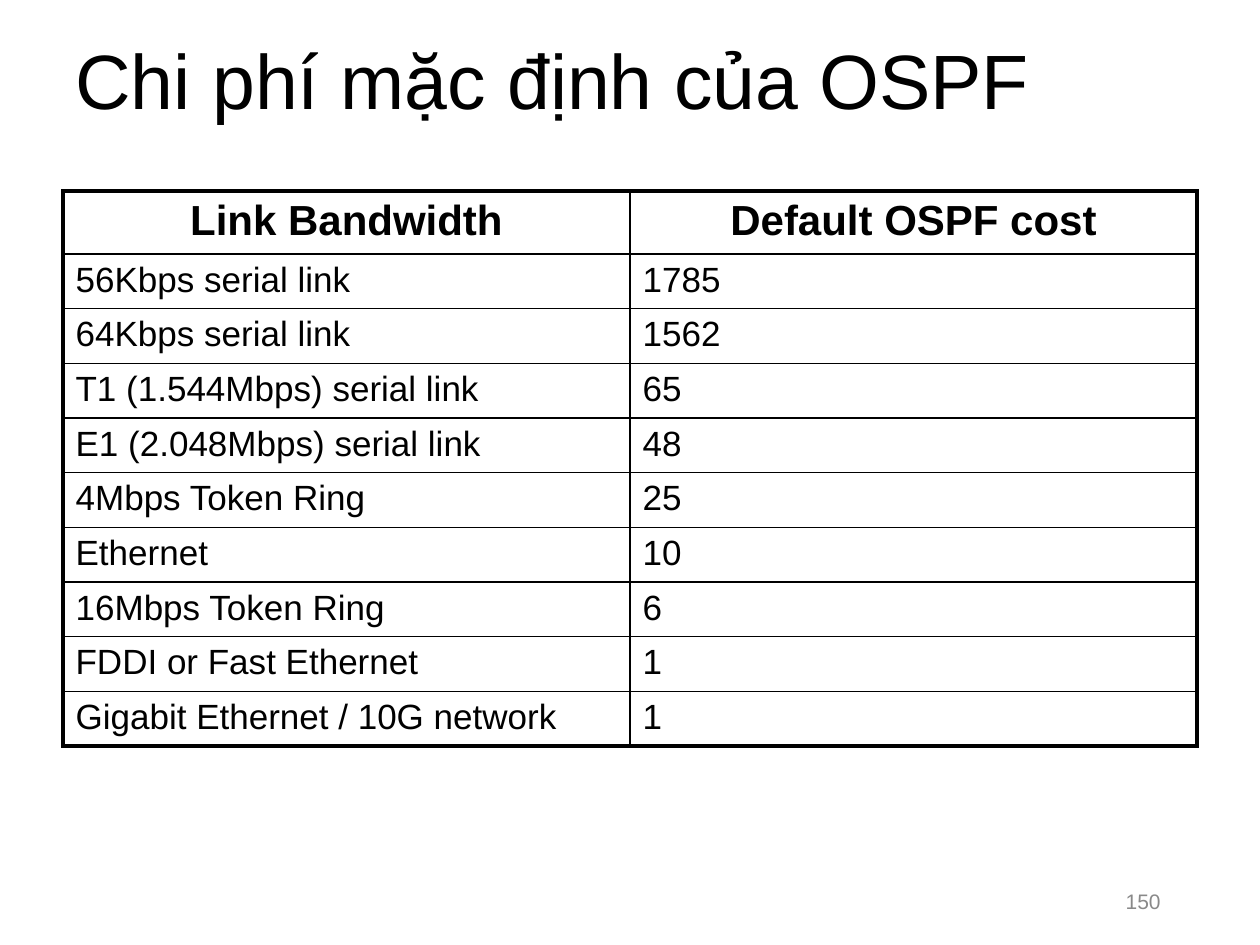
from lxml.etree import SubElement
from pptx import Presentation
from pptx.dml.color import RGBColor
from pptx.enum.text import MSO_ANCHOR, PP_ALIGN
from pptx.oxml.ns import qn
from pptx.util import Emu, Pt

COLORS = {"ink": "000000", "page_number": "898989"}
TITLE = {"size": Pt(44), "name": "Arial", "bold": False}
HEADING = {"size": Pt(24), "name": "Arial", "bold": True}
BODY = {"size": Pt(20), "name": "Arial", "bold": False}
PAGE_NUMBER = {"size": Pt(12), "name": "Arial", "bold": False}
THICK, THIN = Pt(2.25), Pt(1)
COSTS = [
    ("Link Bandwidth", "Default OSPF cost"),
    ("56Kbps serial link", "1785"),
    ("64Kbps serial link", "1562"),
    ("T1 (1.544Mbps) serial link", "65"),
    ("E1 (2.048Mbps) serial link", "48"),
    ("4Mbps Token Ring", "25"),
    ("Ethernet", "10"),
    ("16Mbps Token Ring", "6"),
    ("FDDI or Fast Ethernet", "1"),
    ("Gigabit Ethernet / 10G network", "1"),
]


def px(length):
    """Turn pixels at 126 to the inch into EMU."""
    return Emu(round(length * 914400 / 126))


def write(frame, text, look, color, **layout):
    """Put one formatted paragraph into a text frame."""
    paragraph = frame.paragraphs[0]
    paragraph.text = text
    for name, value in layout.items():
        setattr(paragraph, name, value)
    font = paragraph.runs[0].font
    for name, value in look.items():
        setattr(font, name, value)
    font.color.rgb = RGBColor.from_string(COLORS[color])


def add_label(slide, box, text, look, color, **layout):
    """Add a wrapped, vertically centred line of text in the box."""
    frame = slide.shapes.add_textbox(*map(px, box)).text_frame
    frame.word_wrap = True
    frame.vertical_anchor = MSO_ANCHOR.MIDDLE
    write(frame, text, look, color, **layout)


def draw_borders(cell, widths):
    """Give the cell a solid border of the given width on each side."""
    properties = cell._tc.get_or_add_tcPr()
    for side, width in widths.items():
        border = SubElement(properties, qn(f"a:ln{side}"), w=str(width))
        fill = SubElement(border, qn("a:solidFill"))
        SubElement(fill, qn("a:srgbClr"), val=COLORS["ink"])


def add_cost_table(slide, box, heading_height):
    """Add the table of link costs with a thick outer frame."""
    width, height = box[2:]
    last_row, last_column = len(COSTS) - 1, len(COSTS[0]) - 1
    costs = slide.shapes.add_table(last_row + 1, last_column + 1, *map(px, box)).table
    costs.first_row = costs.horz_banding = False
    for column in costs.columns:
        column.width = px(width / (last_column + 1))
    for r, values in enumerate(COSTS):
        body_height = (height - heading_height) / last_row
        costs.rows[r].height = px(body_height if r else heading_height)
        for c, value in enumerate(values):
            cell = costs.cell(r, c)
            edges = {"L": c == 0, "R": c == last_column, "T": r == 0, "B": r == last_row}
            draw_borders(cell, {side: THICK if outer else THIN for side, outer in edges.items()})
            cell.fill.background()
            write(cell.text_frame, value, BODY if r else HEADING, "ink",
                  alignment=PP_ALIGN.LEFT if r else PP_ALIGN.CENTER)


def main():
    """Build the slide and save it."""
    deck = Presentation()
    deck.slide_width, deck.slide_height = px(1260), px(945)
    slide = deck.slides.add_slide(deck.slide_layouts[6])
    add_label(slide, (63, 16, 1040, 137), "Chi phí mặc định của OSPF", TITLE, "ink",
              line_spacing=0.9)
    add_cost_table(slide, (63, 191, 1134, 554), 63)
    add_label(slide, (890, 876, 283, 50), "150", PAGE_NUMBER, "page_number",
              alignment=PP_ALIGN.RIGHT)
    deck.save("out.pptx")


if __name__ == "__main__":
    main()
